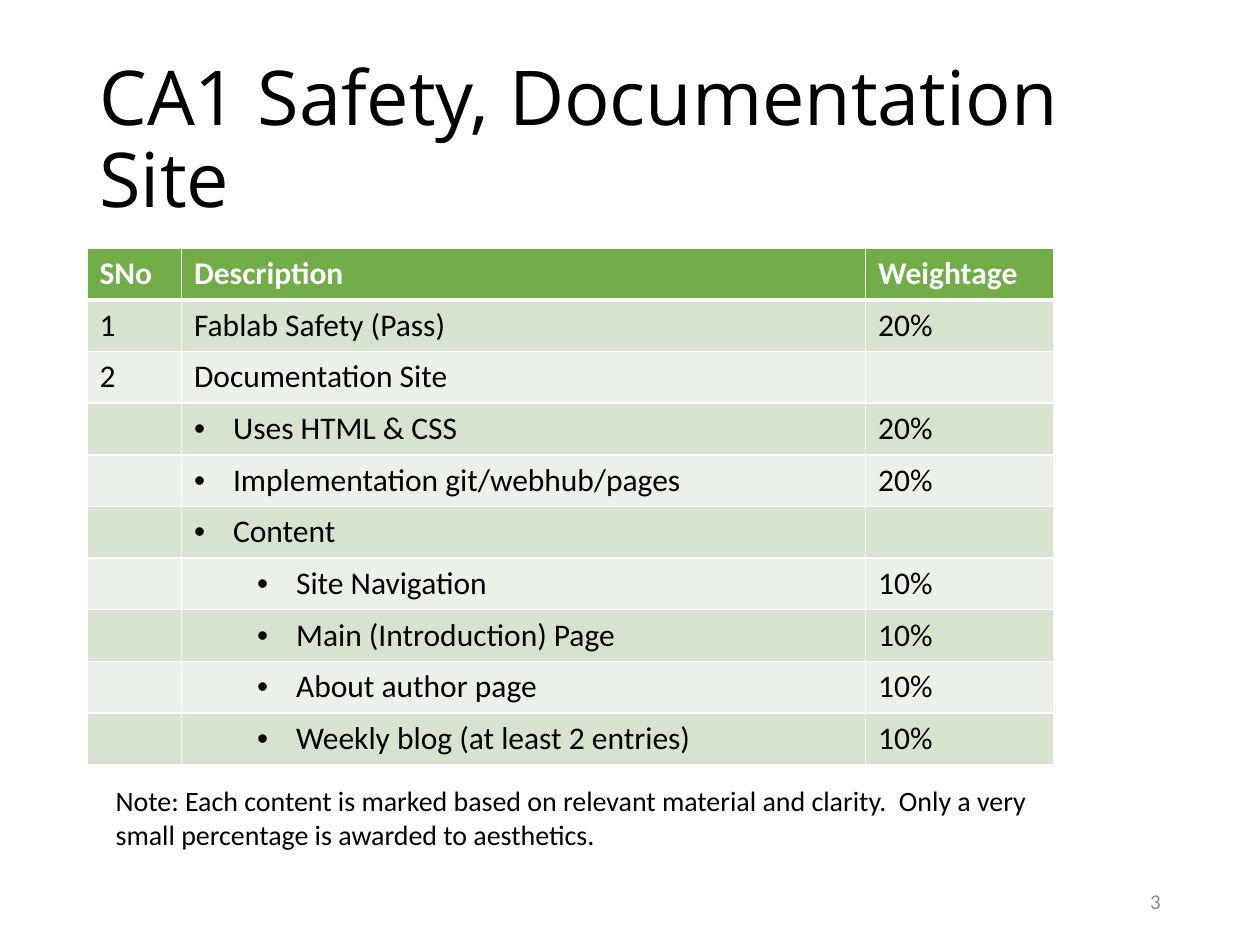
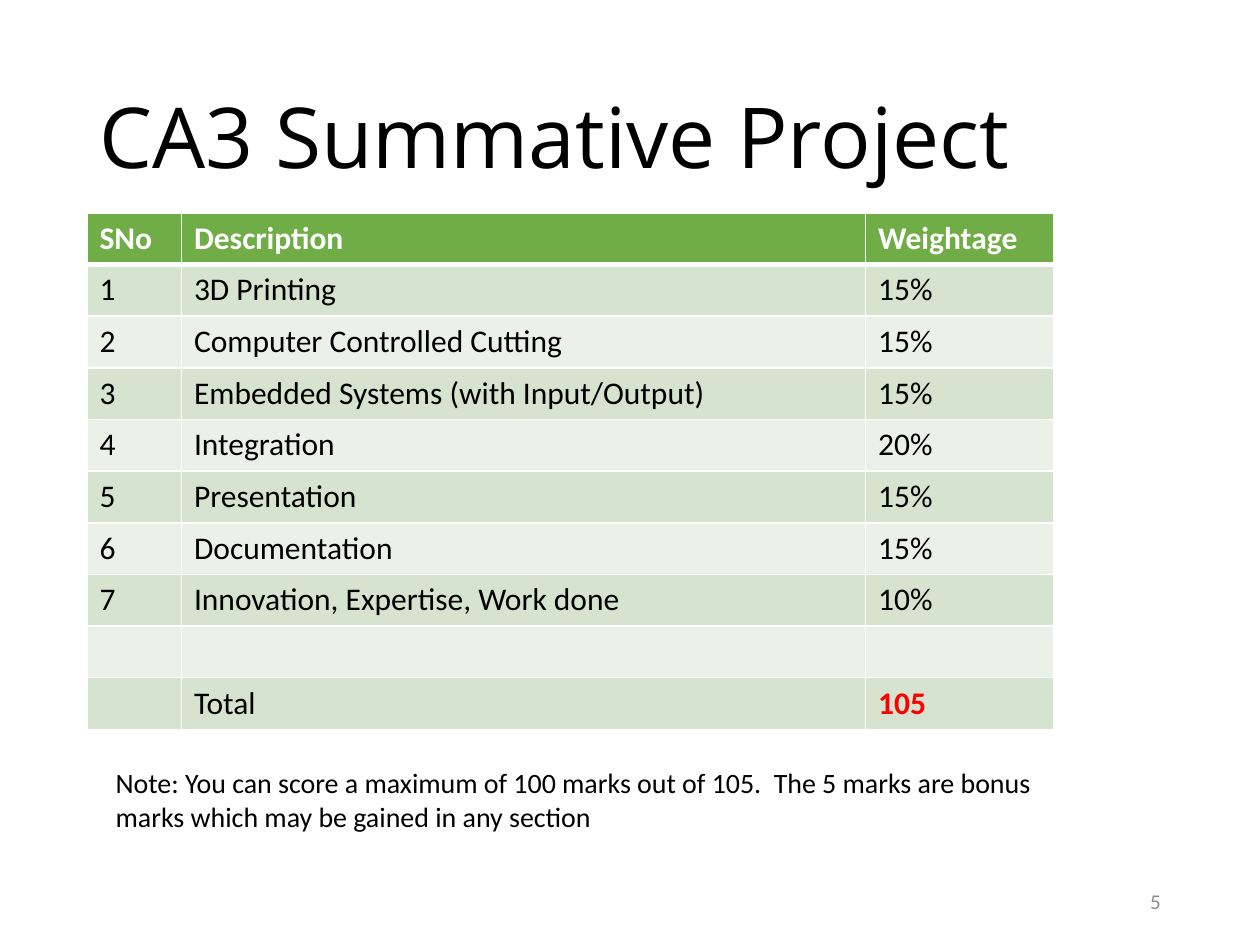
from lxml.etree import SubElement
from pptx import Presentation
from pptx.dml.color import RGBColor
from pptx.enum.text import MSO_ANCHOR, MSO_AUTO_SIZE, PP_ALIGN
from pptx.oxml.ns import qn
from pptx.util import Inches, Pt

COLORS = {
    "text": "000000",
    "white": "FFFFFF",
    "header": "70AD47",
    "band_dark": "D5E3CF",
    "band_light": "EBF1E9",
    "muted": "8C8C8C",
    "accent": "FF0000",
}
TITLE_FONT = "Open Sans"
BODY_FONT = "Calibri"
HEADINGS = ("SNo", "Description", "Weightage")
COL_WIDTHS = (0.75, 5.43, 1.49)
ROW_HEIGHT = 0.41
TITLE_ONLY = 5

SAFETY_ROWS = [
    ("1", "Fablab Safety (Pass)", "20%", 0),
    ("2", "Documentation Site", "", 0),
    ("", "Uses HTML & CSS", "20%", 1),
    ("", "Implementation git/webhub/pages", "20%", 1),
    ("", "Content", "", 1),
    ("", "Site Navigation", "10%", 2),
    ("", "Main (Introduction) Page", "10%", 2),
    ("", "About author page", "10%", 2),
    ("", "Weekly blog (at least 2 entries)", "10%", 2),
]
PROJECT_PARTS = [
    ("3D Printing", "15%"),
    ("Computer Controlled Cutting", "15%"),
    ("Embedded Systems (with Input/Output)", "15%"),
    ("Integration", "20%"),
    ("Presentation", "15%"),
    ("Documentation", "15%"),
    ("Innovation, Expertise, Work done", "10%"),
]
PROJECT_ROWS = [(str(n), part, weight, 0) for n, (part, weight) in enumerate(PROJECT_PARTS, 1)]
PROJECT_ROWS += [("", "", "", 0), ("", "Total", "105", 0)]


class Deck:
    def __init__(self):
        self.prs = Presentation()
        self.prs.slide_width = Inches(10)
        self.prs.slide_height = Inches(7.5)
        self.s = None

    def style(self, p, size, color="text", font=BODY_FONT, bold=False):
        for r in p.runs:
            r.font.name = font
            r.font.size = Pt(size)
            r.font.bold = bold
            r.font.color.rgb = RGBColor.from_string(COLORS[color])

    def slide(self, title, size, number):
        self.s = self.prs.slides.add_slide(self.prs.slide_layouts[TITLE_ONLY])
        sp = self.s.shapes.title
        sp.left, sp.top = Inches(0.69), Inches(0.4)
        sp.width, sp.height = Inches(8.62), Inches(1.45)
        tf = sp.text_frame
        tf.text = title
        tf.word_wrap = True
        tf.auto_size = MSO_AUTO_SIZE.NONE
        tf.vertical_anchor = MSO_ANCHOR.MIDDLE
        p = tf.paragraphs[0]
        p.alignment = PP_ALIGN.LEFT
        p.line_spacing = 0.9
        self.style(p, size, font=TITLE_FONT)
        tf = self.text(number, 7.06, 6.95, 2.25, 0.4, 12, "muted")
        tf.vertical_anchor = MSO_ANCHOR.MIDDLE
        tf.paragraphs[0].alignment = PP_ALIGN.RIGHT

    def text(self, text, left, top, width, height, size, color="text"):
        sp = self.s.shapes.add_textbox(Inches(left), Inches(top), Inches(width), Inches(height))
        tf = sp.text_frame
        tf.word_wrap = True
        tf.text = text
        self.style(tf.paragraphs[0], size, color)
        return tf

    def note(self, text, top):
        self.text(text, 0.82, top, 7.54, 0.64, 16)

    def borders(self, cell, top, bottom):
        tc_pr = cell._tc.get_or_add_tcPr()
        for side, width in (("L", 1), ("R", 1), ("T", top), ("B", bottom)):
            ln = SubElement(tc_pr, qn(f"a:ln{side}"), w=str(Pt(width)))
            fill = SubElement(ln, qn("a:solidFill"))
            SubElement(fill, qn("a:srgbClr"), val=COLORS["white"])

    def bullet(self, p, level):
        p.level = level - 1
        p_pr = p._p.get_or_add_pPr()
        p_pr.set("marL", str(Inches(0.31 + 0.5 * p.level)))
        p_pr.set("indent", str(Inches(-0.31)))
        SubElement(p_pr, qn("a:buFont"), typeface="Arial")
        SubElement(p_pr, qn("a:buChar"), char="•")

    def cell(self, cell, row, text, fill, color="text", bold=False):
        self.borders(cell, top=3 if row == 1 else 1, bottom=3 if row == 0 else 1)
        cell.fill.solid()
        cell.fill.fore_color.rgb = RGBColor.from_string(COLORS[fill])
        p = cell.text_frame.paragraphs[0]
        if text:
            p.text = text
            self.style(p, 18, color, bold=bold)
        else:
            p.font.size = Pt(18)
        return p

    def table(self, rows, top, total=None):
        count = len(rows) + 1
        table = self.s.shapes.add_table(
            count, len(HEADINGS), Inches(0.69), Inches(top),
            Inches(sum(COL_WIDTHS)), Inches(ROW_HEIGHT * count)).table
        for col, width in zip(table.columns, COL_WIDTHS):
            col.width = Inches(width)
        for row in table.rows:
            row.height = Inches(ROW_HEIGHT)
        for c, heading in enumerate(HEADINGS):
            self.cell(table.cell(0, c), 0, heading, "header", "white", True)
        for i, (*values, level) in enumerate(rows, 1):
            fill = "band_dark" if i % 2 else "band_light"
            for c, value in enumerate(values):
                is_total = bool(total) and value == total
                color = "accent" if is_total else "text"
                p = self.cell(table.cell(i, c), i, value, fill, color, is_total)
                if c == 1 and level:
                    self.bullet(p, level)


def main():
    deck = Deck()

    deck.slide("CA1 Safety, Documentation Site", 43.2, "3")
    deck.table(SAFETY_ROWS, 1.97)
    deck.note("Note: Each content is marked based on relevant material and clarity.  "
              "Only a very small percentage is awarded to aesthetics.", 6.17)

    deck.slide("CA3 Summative Project", 48, "5")
    deck.table(PROJECT_ROWS, 1.69, total="105")
    deck.note("Note: You can score a maximum of 100 marks out of 105.  "
              "The 5 marks are bonus marks which may be gained in any section", 6.03)

    deck.prs.save("out.pptx")


if __name__ == "__main__":
    main()
